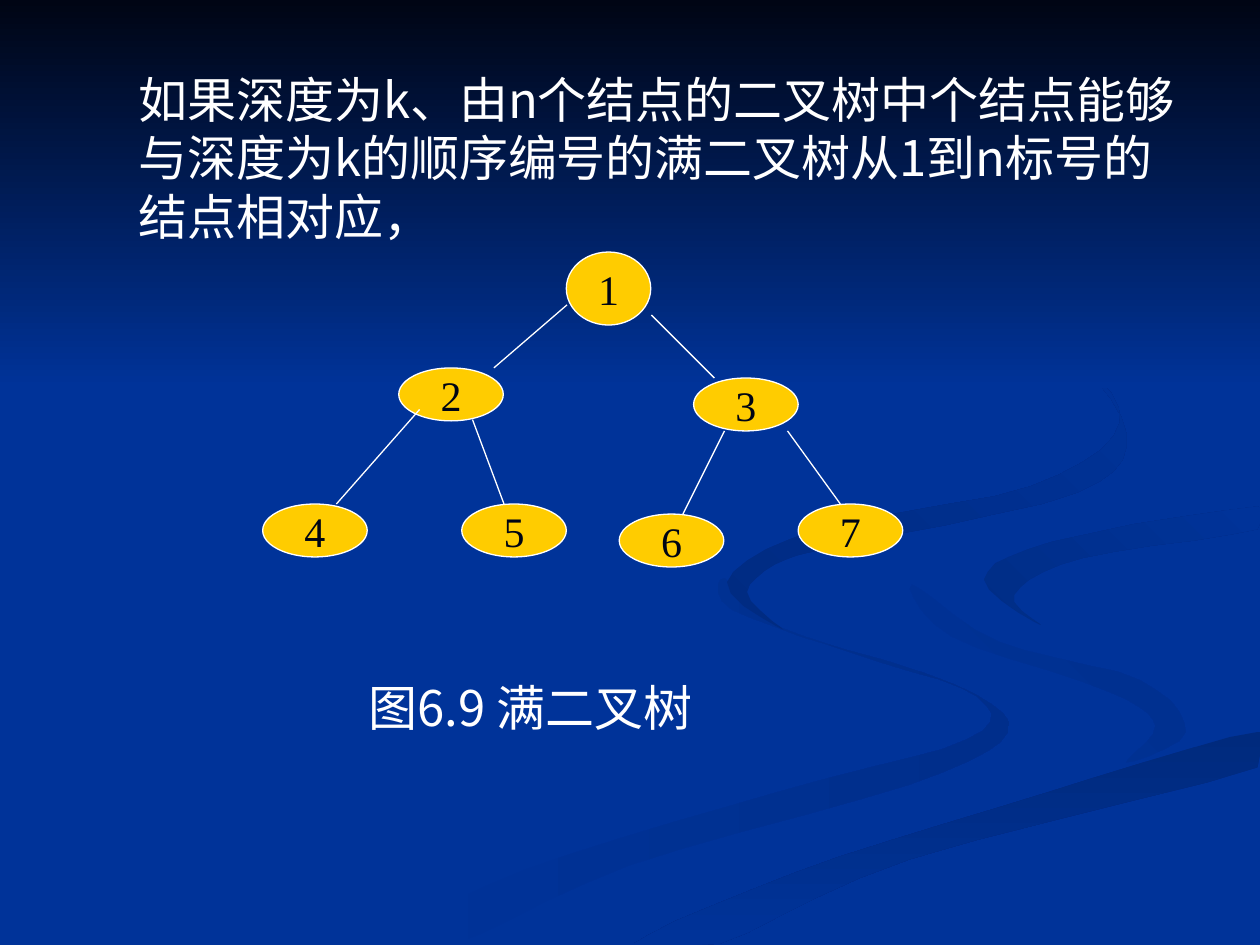
"""Build a slide that explains a full binary tree with seven numbered nodes."""
from pptx import Presentation
from pptx.dml.color import RGBColor
from pptx.enum.shapes import MSO_CONNECTOR, MSO_SHAPE
from pptx.enum.text import MSO_ANCHOR, MSO_AUTO_SIZE, PP_ALIGN
from pptx.oxml.ns import qn
from pptx.util import Pt
from lxml.etree import SubElement

PX = 9144
WIDTH, HEIGHT = 1000, 750
STEPS = 5
TEXT_FONT, NODE_FONT = "Noto Sans CJK SC", "Times New Roman"
COLORS = {
    "background": "003399", "night": "000514", "node": "FFCC00", "white": "FFFFFF",
    "shade": "002E8B", "deep": "002A7D", "mid": "002D86", "curl": "002B82",
}

INTRO = "如果深度为k、由n个结点的二叉树中个结点能够与深度为k的顺序编号的满二叉树从1到n标号的结点相对应，"
CAPTION = "图6.9 满二叉树"
INTRO_BOX = (100, 50, 842, 650)
CAPTION_BOX = (283, 533, 350, 57)
SKY_BOX = (0, 0, WIDTH, 308)

ROOT_SIZE, NODE_SIZE = (67, 58), (83, 42)
NODES = [
    ("2", 358, 313, NODE_SIZE), ("4", 250, 421, NODE_SIZE), ("5", 408, 421, NODE_SIZE),
    ("3", 592, 321, NODE_SIZE), ("6", 533, 429, NODE_SIZE), ("7", 675, 421, NODE_SIZE),
    ("1", 483, 229, ROOT_SIZE),
]
EDGES = [
    (517, 250, 567, 300), (625, 342, 667, 400), (575, 342, 542, 408),
    (375, 333, 400, 400), (333, 325, 267, 400), (450, 242, 392, 292),
]

RIBBONS = [
    ("background", "shade", 0, [
        (575, 459), (581, 484), (679, 519), (776, 553), (767, 587), (616, 629), (417, 690),
        (300, 749), (361, 749), (499, 687), (721, 623), (800, 581), (757, 543), (614, 496)]),
    ("background", "shade", 315, [
        (724, 464), (755, 505), (880, 549), (917, 576), (894, 605), (941, 581), (905, 540),
        (792, 509)]),
    ("deep", "background", 90, [
        (503, 749), (571, 749), (722, 682), (998, 609), (998, 581), (831, 629), (630, 693)]),
    ("mid", "background", 315, [
        (781, 460), (826, 496), (805, 472), (859, 443), (998, 420), (998, 402), (835, 430)]),
    ("curl", "background", 315, [
        (683, 430), (855, 391), (894, 344), (843, 275), (762, 233), (846, 279), (889, 335),
        (818, 386), (649, 420), (577, 462), (622, 500), (593, 470), (624, 444)]),
]


def color(name):
    return RGBColor.from_string(COLORS[name])


def scaled(*lengths):
    return [length * PX for length in lengths]


def blend(before, start, end, after, t):
    return 0.5 * (2 * start + (end - before) * t
                  + (2 * before - 5 * start + 4 * end - after) * t ** 2
                  + (3 * start - before - 3 * end + after) * t ** 3)


def smooth_outline(anchors):
    outline = []
    for index in range(len(anchors)):
        nearby = [anchors[(index + shift) % len(anchors)] for shift in (-1, 0, 1, 2)]
        for step in range(STEPS):
            x, y = (blend(*values, step / STEPS) for values in zip(*nearby))
            outline.append((min(x, WIDTH), min(y, HEIGHT)))
    return outline


def paint_gradient(shape, first, last, angle):
    shape.shadow.inherit = False
    shape.line.fill.background()
    shape.fill.gradient()
    shape.fill.gradient_angle = (360 - angle) % 360
    for stop, name in zip(shape.fill.gradient_stops, (first, last)):
        stop.color.rgb = color(name)


def add_ribbon(page, first, last, angle, anchors):
    outline = smooth_outline(anchors)
    builder = page.shapes.build_freeform(*outline[0], scale=PX)
    builder.add_line_segments(outline[1:], close=True)
    paint_gradient(builder.convert_to_shape(), first, last, angle)


def write_text(box, text):
    frame = box.text_frame
    frame.word_wrap = True
    frame.auto_size = MSO_AUTO_SIZE.NONE
    frame.vertical_anchor = MSO_ANCHOR.TOP
    para = frame.paragraphs[0]
    para.alignment = PP_ALIGN.LEFT
    para.space_before = Pt(4)
    para.line_spacing = Pt(33.5)
    span = para.add_run()
    span.text = text
    span.font.name = TEXT_FONT
    span.font.size = Pt(28)
    span.font.color.rgb = color("white")
    SubElement(span.font._element, qn("a:ea"), typeface=TEXT_FONT)


def add_node(page, label, x, y, size):
    width, height = size
    place = scaled(x - width / 2, y - height / 2, width, height)
    node = page.shapes.add_shape(MSO_SHAPE.OVAL, *map(int, place))
    node.shadow.inherit = False
    node.fill.solid()
    node.fill.fore_color.rgb = color("node")
    node.line.color.rgb = color("white")
    node.line.width = Pt(0.75)
    frame = node.text_frame
    frame.word_wrap = False
    frame.vertical_anchor = MSO_ANCHOR.MIDDLE
    para = frame.paragraphs[0]
    para.text = label
    para.alignment = PP_ALIGN.CENTER
    para.font.name = NODE_FONT
    para.font.size = Pt(24)
    para.font.color.rgb = color("night")


def add_edge(page, *ends):
    edge = page.shapes.add_connector(MSO_CONNECTOR.STRAIGHT, *scaled(*ends))
    edge.line.color.rgb = color("white")
    edge.line.width = Pt(0.75)
    SubElement(edge.element.spPr, qn("a:effectLst"))


def main():
    deck = Presentation()
    deck.slide_width, deck.slide_height = scaled(WIDTH, HEIGHT)
    page = deck.slides.add_slide(deck.slide_layouts[0])
    page.background.fill.solid()
    page.background.fill.fore_color.rgb = color("background")
    tree = page.shapes.element
    tree.remove(page.shapes.title.element)
    for ribbon in RIBBONS:
        add_ribbon(page, *ribbon)
    sky = page.shapes.add_shape(MSO_SHAPE.RECTANGLE, *scaled(*SKY_BOX))
    paint_gradient(sky, "night", "background", 90)

    intro = page.placeholders[1]
    intro.left, intro.top, intro.width, intro.height = scaled(*INTRO_BOX)
    tree.append(intro.element)
    write_text(intro, INTRO)
    for node in NODES:
        add_node(page, *node)
    write_text(page.shapes.add_textbox(*scaled(*CAPTION_BOX)), CAPTION)
    for edge in EDGES:
        add_edge(page, *edge)
    deck.save("out.pptx")


if __name__ == "__main__":
    main()
